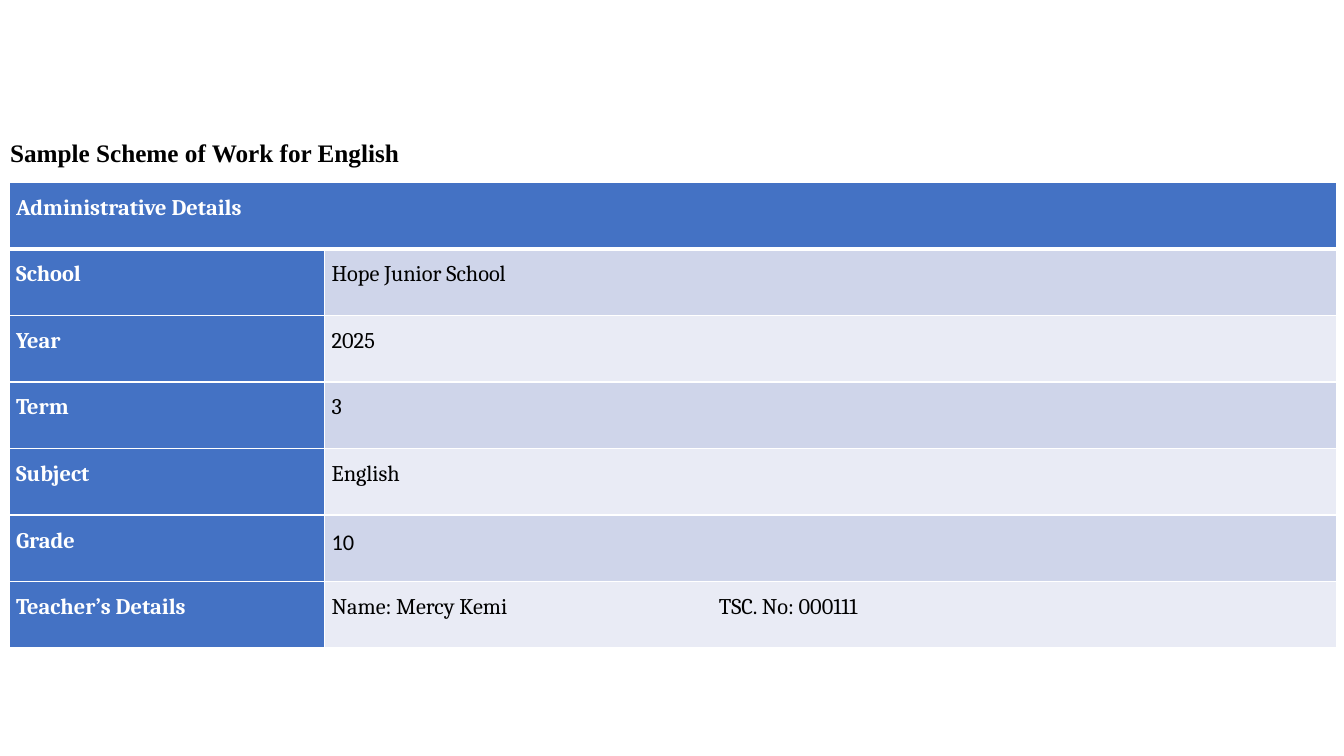
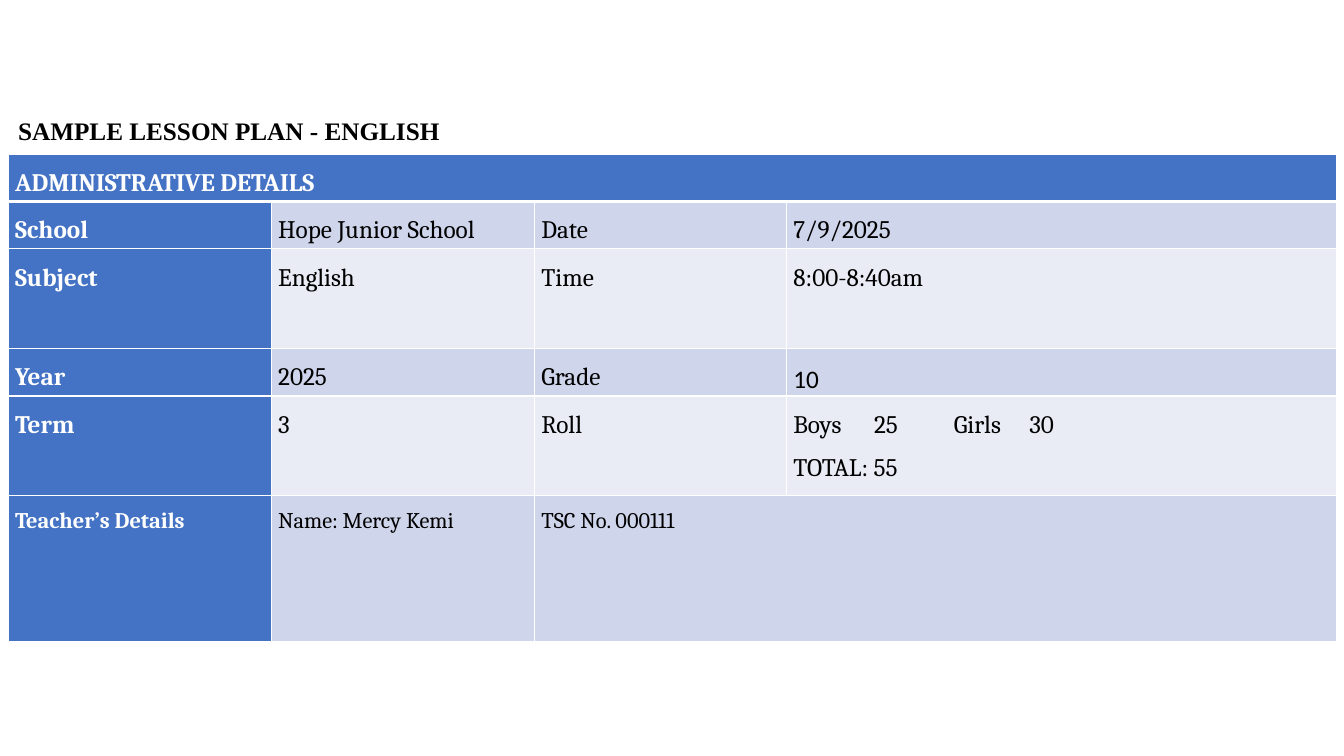
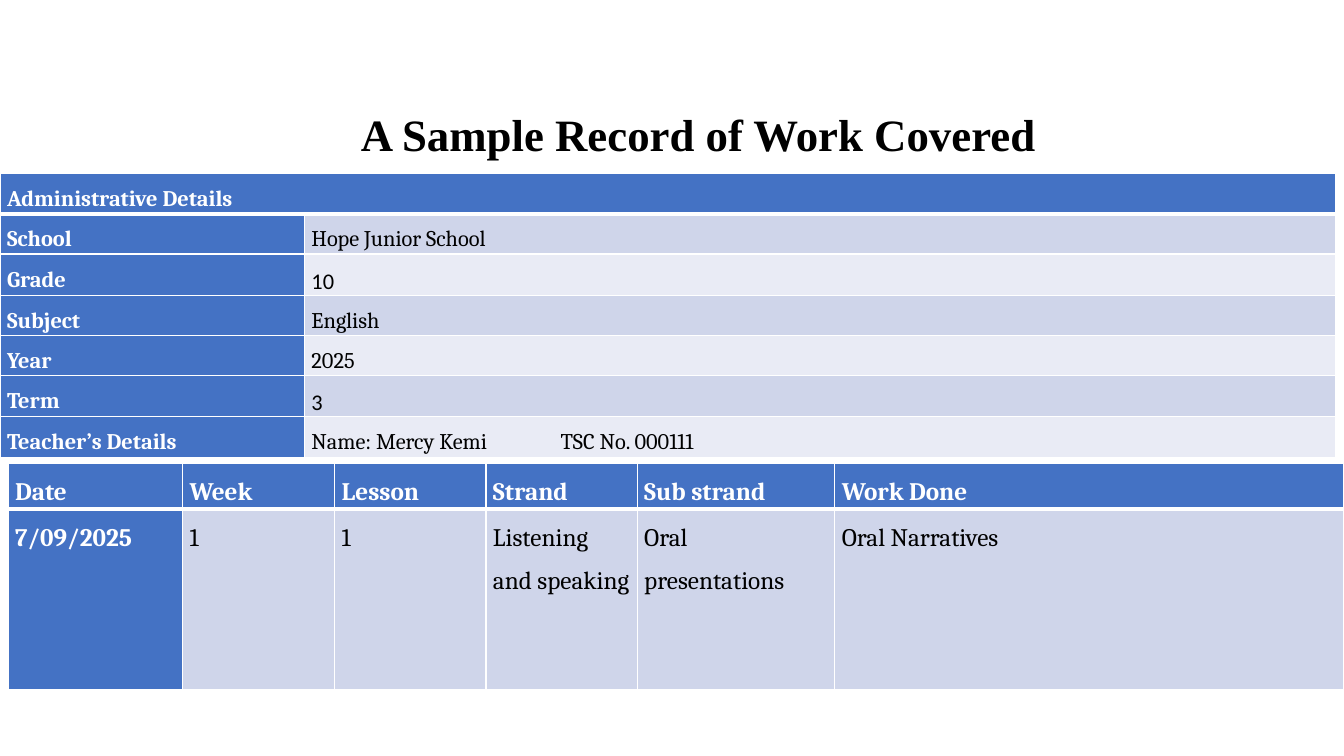
from lxml.etree import SubElement
from pptx import Presentation
from pptx.dml.color import RGBColor
from pptx.enum.text import MSO_ANCHOR, MSO_AUTO_SIZE, PP_ALIGN
from pptx.oxml.ns import qn
from pptx.util import Inches, Pt

BLUE, WHITE, BLACK = "4472C4", "FFFFFF", "000000"
BANDS = ("CFD5EA", "E9EBF5")
TITLE_FONT, TABLE_FONT, ALTERNATE_FONT = "Times New Roman", "Cambria", "Calibri"
TITLE_ONLY = 5

# None continues the cell to its left. "tabs" holds tab stops in inches;
# "alternate" and "sizes" list exceptions by (row, column) and by row.
SLIDES = [
    {
        "title": ("Sample Scheme of Work for English", 18, (0, 1.31, 4.1, 0.4)),
        "tables": [{
            "at": (0.09, 1.81), "size": 16,
            "columns": [3.13, 10.04], "heights": [0.66] * 7,
            "tabs": [3.84], "alternate": {(5, 1)},
            "rows": [
                ("Administrative Details", None),
                ("School", "Hope Junior School"),
                ("Year", "2025"),
                ("Term", "3"),
                ("Subject", "English"),
                ("Grade", "10"),
                ("Teacher’s Details", "Name: Mercy Kemi\tTSC. No: 000111"),
            ],
        }],
    },
    {
        "title": ("SAMPLE LESSON PLAN - ENGLISH", 18, (0.08, 1.09, 4.5, 0.4)),
        "tables": [{
            "at": (0.08, 1.53), "size": 18, "sizes": {5: 16},
            "columns": [2.61, 2.61, 2.5, 5.46],
            "heights": [0.47, 0.47, 0.99, 0.47, 0.99, 1.45],
            "tabs": [0.8, 1.59, 2.34], "alternate": {(3, 3)},
            "rows": [
                ("ADMINISTRATIVE DETAILS", None, None, None),
                ("School", "Hope Junior School", "Date", "7/9/2025"),
                ("Subject", "English", "Time", "8:00-8:40am"),
                ("Year", "2025", "Grade", "10"),
                ("Term", "3", "Roll", "Boys\t25\tGirls\t30\nTOTAL: 55"),
                ("Teacher’s Details", "Name: Mercy Kemi", "TSC No. 000111", None),
            ],
        }],
    },
    {
        "title": ("A Sample Record of Work Covered", 32, (3.48, 1.01, 7.07, 0.64)),
        "tables": [
            {
                "at": (0, 1.72), "size": 16,
                "columns": [3.02, 10.23], "heights": [0.4] * 7,
                "tabs": [2.47], "alternate": {(2, 1), (5, 1)},
                "rows": [
                    ("Administrative Details", None),
                    ("School", "Hope Junior School"),
                    ("Grade", "10"),
                    ("Subject", "English"),
                    ("Year", "2025"),
                    ("Term", "3"),
                    ("Teacher’s Details", "Name: Mercy Kemi\tTSC No. 000111"),
                ],
            },
            {
                "at": (0.08, 4.6), "size": 18,
                "columns": [1.73, 1.51, 1.5, 1.5, 1.96, 5.05],
                "heights": [0.45, 1.79],
                "rows": [
                    ("Date", "Week", "Lesson", "Strand", "Sub strand", "Work Done"),
                    ("7/09/2025", "1", "1", "Listening and speaking",
                     "Oral presentations", "Oral Narratives"),
                ],
            },
        ],
    },
]


def style_run(run, font, size, color, bold):
    run.font.name = font
    run.font.size = Pt(size)
    run.font.bold = bold
    run.font.color.rgb = RGBColor.from_string(color)


def add_title(slide, text, size, box):
    title = slide.shapes.title
    title.left, title.top, title.width, title.height = map(Inches, box)
    frame = title.text_frame
    frame.text = text
    frame.word_wrap = True
    frame.auto_size = MSO_AUTO_SIZE.NONE
    frame.vertical_anchor = MSO_ANCHOR.MIDDLE
    frame.paragraphs[0].alignment = PP_ALIGN.LEFT
    style_run(frame.paragraphs[0].runs[0], TITLE_FONT, size, BLACK, True)


def add_borders(cell, bottom):
    properties = cell._tc.get_or_add_tcPr()
    for side, points in (("L", 1), ("R", 1), ("T", 1), ("B", bottom)):
        line = SubElement(properties, qn(f"a:ln{side}"), w=str(Pt(points)))
        fill = SubElement(line, qn("a:solidFill"))
        SubElement(fill, qn("a:srgbClr"), val=WHITE)


def add_tabs(paragraph, stops):
    tab_list = SubElement(paragraph._p.get_or_add_pPr(), qn("a:tabLst"))
    for stop in stops:
        SubElement(tab_list, qn("a:tab"), pos=str(Inches(stop)), algn="l")


def fill_cell(cell, text, font, size, is_header, band, tabs):
    cell.margin_left = cell.margin_right = Inches(0.07)
    cell.margin_top = cell.margin_bottom = 0
    cell.fill.solid()
    cell.fill.fore_color.rgb = RGBColor.from_string(BLUE if is_header else band)
    cell.text_frame.text = text
    for paragraph in cell.text_frame.paragraphs:
        paragraph.line_spacing = 1.5
        if "\t" in paragraph.text:
            add_tabs(paragraph, tabs)
        for run in paragraph.runs:
            style_run(run, font, size, WHITE if is_header else BLACK, is_header)


def add_details_table(slide, details):
    rows, columns, heights = details["rows"], details["columns"], details["heights"]
    left, top = map(Inches, details["at"])
    table = slide.shapes.add_table(len(rows), len(columns), left, top,
                                   Inches(sum(columns)), Inches(sum(heights))).table
    for column, width in zip(table.columns, columns):
        column.width = Inches(width)
    for row, height in zip(table.rows, heights):
        row.height = Inches(height)

    for r, row in enumerate(rows):
        size = details.get("sizes", {}).get(r, details["size"])
        for c, text in enumerate(row):
            cell = table.cell(r, c)
            font = ALTERNATE_FONT if (r, c) in details.get("alternate", ()) else TABLE_FONT
            add_borders(cell, 3 if r == 0 else 1)
            fill_cell(cell, text or "", font, size, r == 0 or c == 0,
                      BANDS[(r - 1) % 2], details.get("tabs", ()))
        if None in row:
            table.cell(r, row.index(None) - 1).merge(table.cell(r, len(row) - 1))


def main():
    presentation = Presentation()
    presentation.slide_width, presentation.slide_height = Inches(13.33), Inches(7.5)
    for content in SLIDES:
        slide = presentation.slides.add_slide(presentation.slide_layouts[TITLE_ONLY])
        add_title(slide, *content["title"])
        for details in content["tables"]:
            add_details_table(slide, details)
    presentation.save("out.pptx")


if __name__ == "__main__":
    main()
